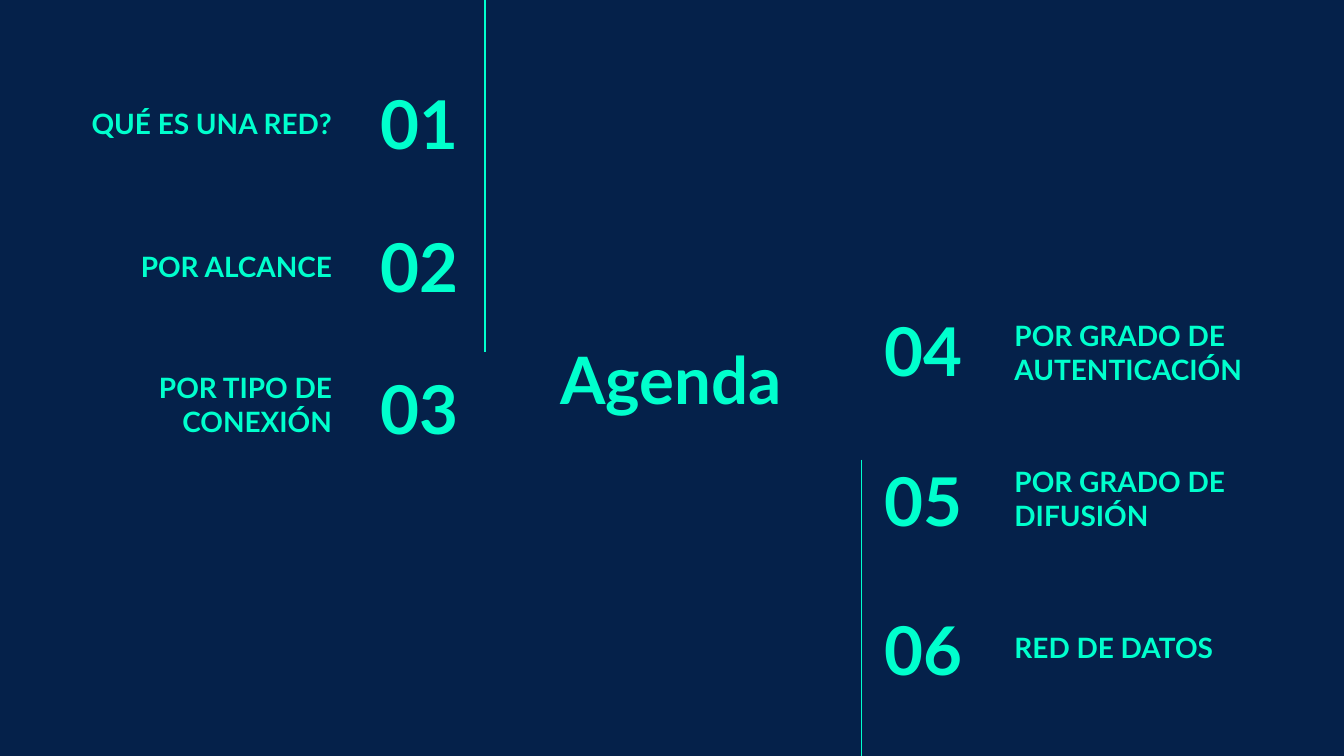
from pptx import Presentation
from pptx.dml.color import RGBColor
from pptx.enum.shapes import MSO_CONNECTOR
from pptx.enum.text import MSO_ANCHOR, MSO_AUTO_SIZE, PP_ALIGN
from pptx.oxml.ns import qn
from pptx.util import Inches, Pt
from lxml.etree import SubElement

# Content: label and top of its box, in reading order
TITLE = "Agenda"
LEFT_TOPICS = [("QUÉ ES UNA RED?", 0.51), ("POR ALCANCE", 1.58),
               ("POR TIPO DE CONEXIÓN", 2.73)]
RIGHT_TOPICS = [("POR GRADO DE AUTENTICACIÓN", 2.34),
                ("POR GRADO DE DIFUSIÓN", 3.43), ("RED DE DATOS", 4.41)]

# Widescreen slide, 16:9
SLIDE_W = 10
SLIDE_H = SLIDE_W * 9 / 16

# Each side: topics, alignment, label left, number left, first number top, step
SIDES = [
    (LEFT_TOPICS, PP_ALIGN.RIGHT, 0.41, 2.31, 0.6, 1.06),
    (RIGHT_TOPICS, PP_ALIGN.LEFT, 7.45, 6.48, 2.29, 1.11),
]
LABEL_W, NUMBER_W, ROW_H = 2.16, 1.2, 0.63
RULES = [(3.61, 0, 2.62), (6.41, 3.42, SLIDE_H)]  # x, top, bottom

THEME = {
    "font": "Lato",
    "background": RGBColor.from_string("05214A"),
    "accent": RGBColor.from_string("00FFCD"),
    "title": 35, "number": 36, "label": 15, "rule": 0.75,
}


def write(sp, text, role, align, anchor):
    tf = sp.text_frame
    tf.word_wrap = True
    tf.auto_size = MSO_AUTO_SIZE.NONE
    tf.vertical_anchor = anchor
    tf.margin_left = tf.margin_right = Inches(0.1)
    tf.margin_top = tf.margin_bottom = Inches(0.1)
    p = tf.paragraphs[0]
    p.alignment = align
    r = p.add_run()
    r.text = text
    r.font.name = THEME["font"]
    r.font.size = Pt(THEME[role])
    r.font.bold = True
    r.font.color.rgb = THEME["accent"]


def add_text(s, box, *style):
    write(s.shapes.add_textbox(*map(Inches, box)), *style)


def add_rule(s, x, top, bottom):
    line = s.shapes.add_connector(MSO_CONNECTOR.STRAIGHT, Inches(x),
                                  Inches(top), Inches(x), Inches(bottom))
    line.line.color.rgb = THEME["accent"]
    line.line.width = Pt(THEME["rule"])
    SubElement(line._element.spPr, qn("a:effectLst"))


def main():
    prs = Presentation()
    prs.slide_width, prs.slide_height = Inches(SLIDE_W), Inches(SLIDE_H)
    s = prs.slides.add_slide(prs.slide_layouts[5])
    s.background.fill.solid()
    s.background.fill.fore_color.rgb = THEME["background"]

    # Title
    title = s.shapes.title
    title.left, title.top = Inches(3.7), Inches(2.3)
    title.width, title.height = Inches(2.59), Inches(1.03)
    write(title, TITLE, "title", PP_ALIGN.CENTER, MSO_ANCHOR.MIDDLE)

    # Vertical rules
    for rule in RULES:
        add_rule(s, *rule)

    # Numbered topics, counted on from the left side to the right
    number = 0
    for topics, align, label_x, number_x, first, step in SIDES:
        for row, (label, label_y) in enumerate(topics):
            number += 1
            add_text(s, (number_x, first + row * step, NUMBER_W, ROW_H),
                     f"{number:02d}", "number", align, MSO_ANCHOR.MIDDLE)
            add_text(s, (label_x, label_y, LABEL_W, ROW_H),
                     label, "label", align, MSO_ANCHOR.BOTTOM)

    prs.save("out.pptx")


if __name__ == "__main__":
    main()
